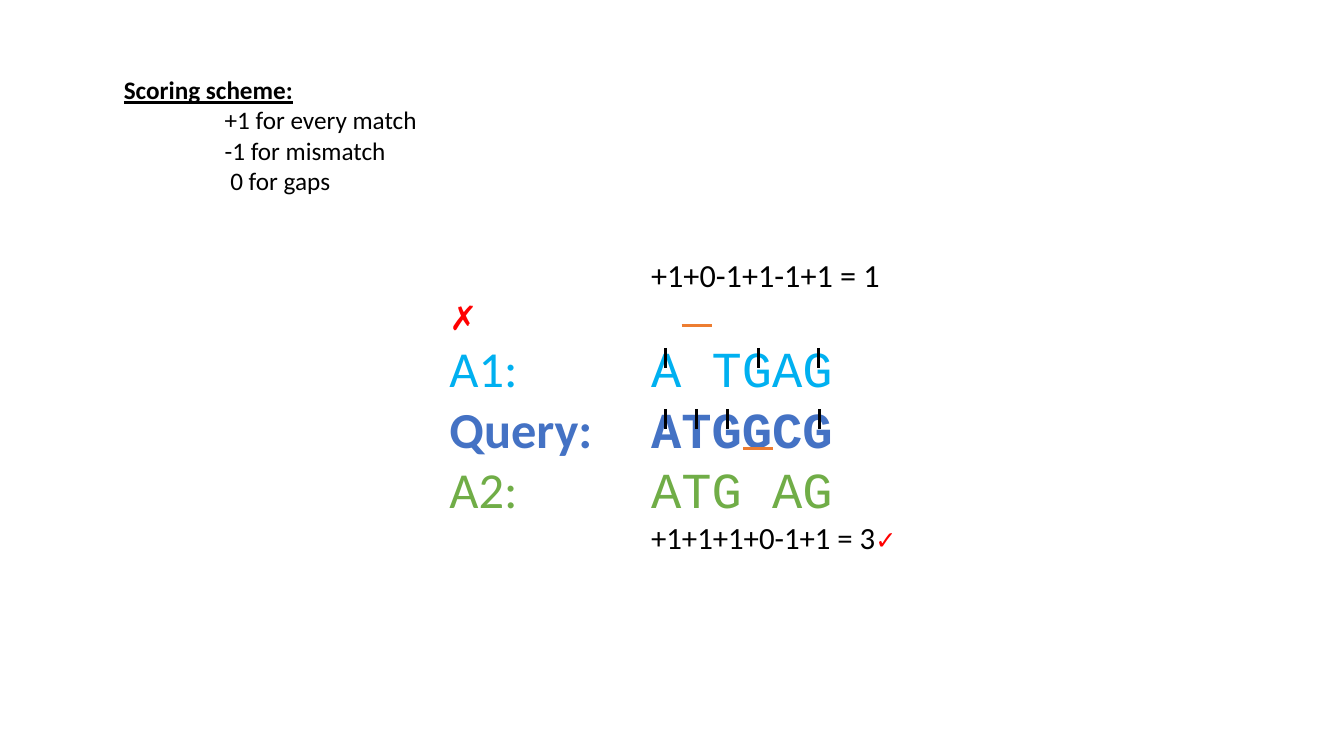
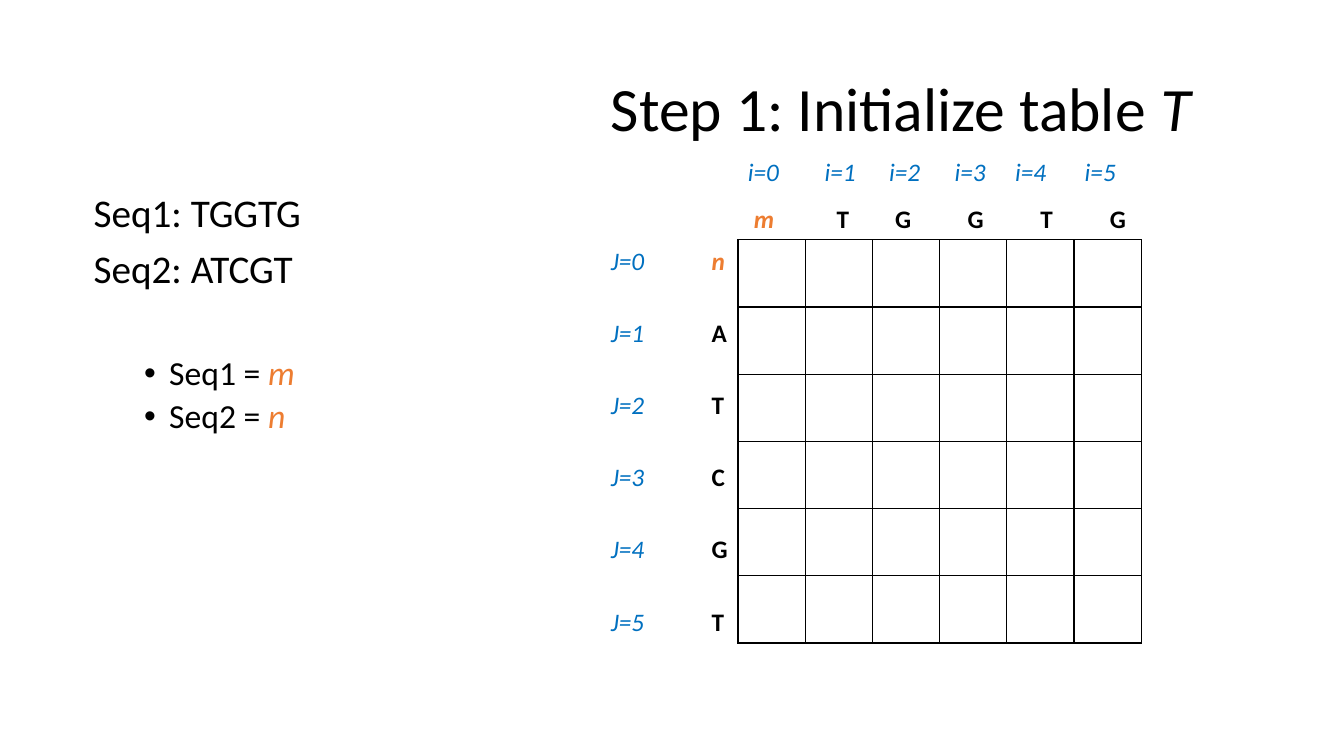
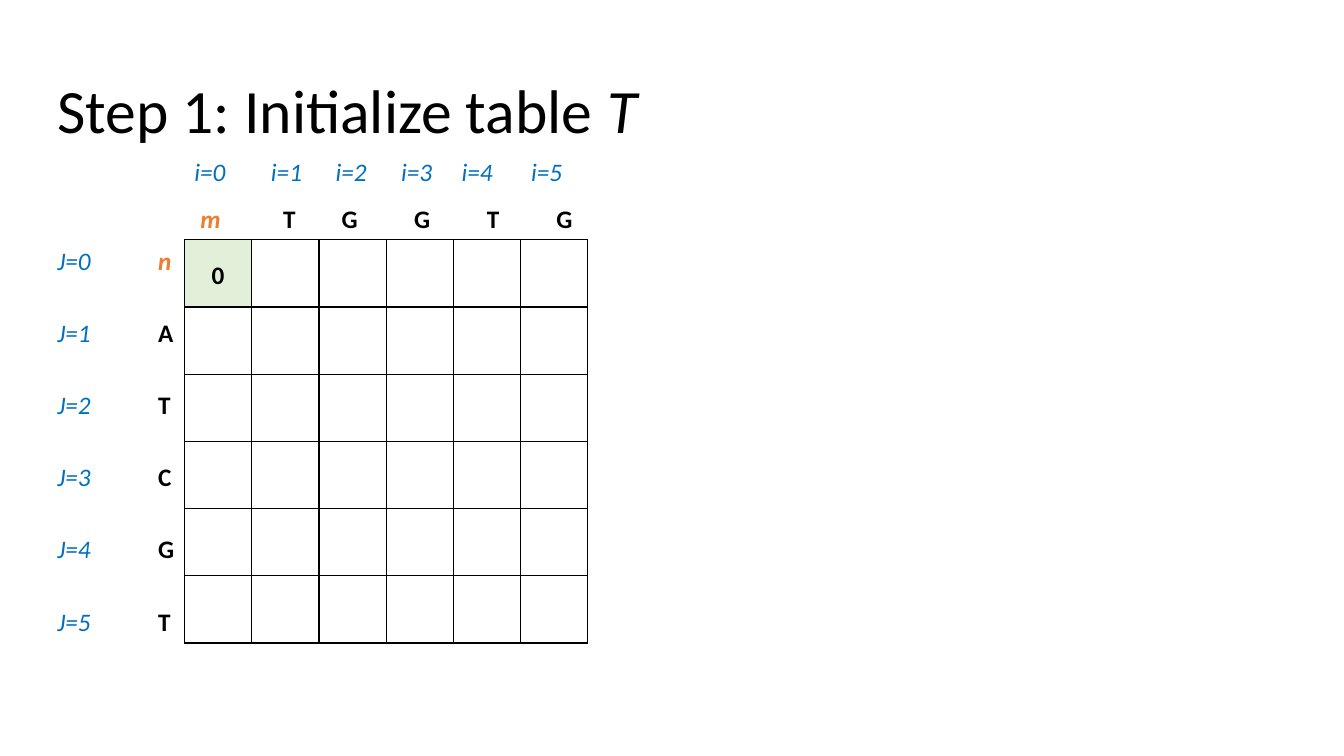
from lxml import etree
from pptx import Presentation
from pptx.dml.color import RGBColor
from pptx.enum.shapes import MSO_CONNECTOR
from pptx.enum.text import MSO_ANCHOR, PP_ALIGN
from pptx.oxml.ns import qn
from pptx.util import Inches, Pt

STRAIGHT = MSO_CONNECTOR.STRAIGHT
MIDDLE = MSO_ANCHOR.MIDDLE
LEFT, CENTER = PP_ALIGN.LEFT, PP_ALIGN.CENTER

FONT, MONO = "Calibri", "Courier New"
BLACK, ORANGE, BLUE, RED = "000000", "ED7D31", "0070C0", "FF0000"
SKY, NAVY, GREEN, PALE_GREEN = "00B0F0", "4472C4", "70AD47", "E2F0D9"
TITLE_ONLY, BLANK = 5, 6


def add_box(slide, left, top, width, height):
    """Add a wrapping text box and return its text frame."""
    box = slide.shapes.add_textbox(Inches(left), Inches(top), Inches(width), Inches(height))
    box.text_frame.word_wrap = True
    box.text_frame.margin_right = 0
    return box.text_frame


def add_line(frame, spans, size=18, before=0, spacing=None, tabs=(), bullet=False):
    """Write one paragraph; each span is its text and a dict of font settings."""
    para = frame.add_paragraph() if frame.paragraphs[0].runs else frame.paragraphs[0]
    if spacing:
        para.line_spacing = spacing
    if before:
        para.space_before = Pt(before)
    properties = para._p.get_or_add_pPr()
    if bullet:
        properties.set("marL", str(Inches(0.75)))
        properties.set("indent", str(Inches(-0.25)))
        etree.SubElement(properties, qn("a:buFont"), typeface="Arial")
        etree.SubElement(properties, qn("a:buChar"), char="•")
    if tabs:
        tab_list = etree.SubElement(properties, qn("a:tabLst"))
        for stop in tabs:
            etree.SubElement(tab_list, qn("a:tab"), pos=str(Inches(stop)), algn="l")
    para.font.name = FONT
    para.font.size = Pt(size)
    for text, style in spans:
        span = para.add_run()
        span.text = text
        span.font.color.rgb = RGBColor.from_string(style.get("color", BLACK))
        for name in ("bold", "italic", "underline", "name", "size"):
            if name in style:
                setattr(span.font, name, style[name])
    return para


deck = Presentation()
deck.slide_width, deck.slide_height = Inches(13.33), Inches(7.5)

# Slide 1: alignment scores
slide = deck.slides.add_slide(deck.slide_layouts[BLANK])
frame = add_box(slide, 4.36, 2.3, 4.8, 3.3)
big = Pt(36)
alignment_lines = [
    [("\t", {"size": big}), ("+1+0-1+1-1+1 = 1", {"size": Pt(23)})],
    [("✗", {"color": RED, "size": Pt(24)})],
]
for label, sequence, color, bold in [
    ("A1:", "A TGAG", SKY, False),
    ("Query:", "ATGGCG", NAVY, True),
    ("A2:", "ATG AG", GREEN, False),
]:
    style = {"color": color, "bold": bold, "size": big}
    alignment_lines.append([(label + "\t", style), (sequence, {**style, "name": MONO})])
alignment_lines.append([
    ("\t+1+1+1+0-1+1 = 3", {"size": Pt(22)}),
    ("✓", {"color": RED, "size": Pt(18)}),
])
for spans in alignment_lines:
    add_line(frame, spans, tabs=[2])

# Gap dashes and match ticks: left, top, width, height, colour
marks = [(left, top, 0.3, 0, ORANGE) for left, top in [(6.76, 3.23), (7.37, 4.45)]]
for top, lefts in [(3.45, (6.6, 7.52, 8.12)), (4.06, (6.6, 6.91, 7.22, 8.13))]:
    marks += [(left, top, 0, 0.2, BLACK) for left in lefts]
for left, top, width, height, color in marks:
    mark = slide.shapes.add_connector(
        STRAIGHT, Inches(left), Inches(top), Inches(left + width), Inches(top + height))
    mark.line.color.rgb = RGBColor.from_string(color)
    mark.line.width = Pt(2.25)
    etree.SubElement(mark._element.spPr, qn("a:effectLst"))

# Scoring scheme
frame = add_box(slide, 1.13, 0.69, 3.2, 1.62)
add_line(frame, [("Scoring scheme:", {"bold": True, "underline": True})])
for rule in ("+1 for every match", "-1 for mismatch", " 0 for gaps"):
    add_line(frame, [("\t" + rule, {})], tabs=[1])

# Slides 2 and 3: the table with its title and labels
COLUMN_LETTERS, ROW_LETTERS = "mTGGTG", "nATCGT"
INDEX_TABS = [0.76, 1.4, 2.05, 2.65, 3.34]
LETTER_TABS = [0.06, 0.88, 1.46, 2.18, 2.9, 3.59]
GRID_SIZE, GRID_WIDTH = 6, 4
index_style = {"color": BLUE, "italic": True}
letter_style = {"bold": True}
symbol_style = {"color": ORANGE, "bold": True, "italic": True}

for title_left, title_top, grid_left, start in [(5.96, 0.38, 7.32, ""), (0.47, 0.4, 1.83, "0")]:
    slide = deck.slides.add_slide(deck.slide_layouts[TITLE_ONLY])
    title = slide.shapes.title
    title.left, title.top = Inches(title_left), Inches(title_top)
    title.width, title.height = Inches(6.23), Inches(1.45)
    title.text_frame.vertical_anchor = MIDDLE
    para = add_line(title.text_frame, [("Step 1: Initialize table ", {}), ("T", {"italic": True})],
                    size=44, spacing=0.9)
    para.alignment = LEFT

    # Empty grid with black borders
    table = slide.shapes.add_table(
        GRID_SIZE, GRID_SIZE, Inches(grid_left), Inches(2.38),
        Inches(GRID_WIDTH), Inches(GRID_WIDTH)).table
    table.first_row = table.horz_banding = False
    for cell in table.iter_cells():
        properties = cell._tc.get_or_add_tcPr()
        for side in ("a:lnL", "a:lnR", "a:lnT", "a:lnB"):
            border = etree.SubElement(properties, qn(side), w=str(Pt(1)))
            fill = etree.SubElement(border, qn("a:solidFill"))
            etree.SubElement(fill, qn("a:srgbClr"), val=BLACK)
        cell.fill.background()
    if start:
        cell = table.cell(0, 0)
        cell.fill.solid()
        cell.fill.fore_color.rgb = RGBColor.from_string(PALE_GREEN)
        para = add_line(cell.text_frame, [(start, letter_style)], spacing=1.5)
        para.alignment = CENTER

    # Column labels
    frame = add_box(slide, grid_left, 1.5, 4.03, 0.88)
    indexes = "\t".join(f"i={column}" for column in range(GRID_SIZE))
    add_line(frame, [(indexes, index_style)], tabs=INDEX_TABS)
    letters = "\t" + "\t".join(COLUMN_LETTERS[1:])
    add_line(frame, [("\t" + COLUMN_LETTERS[0], symbol_style), (letters, letter_style)],
             before=12, tabs=LETTER_TABS)

    # Row labels
    frame = add_box(slide, title_left, 2.38, 1.37, 4.02)
    for row, letter in enumerate(ROW_LETTERS):
        add_line(frame, [(f"J={row}\t", index_style), (letter, letter_style if row else symbol_style)],
                 before=30 if row else 0, tabs=[1])

# Sequences beside the table on slide 2
frame = add_box(deck.slides[1], 0.83, 1.87, 3.62, 3.76)
add_line(frame, [("Seq1: TGGTG", {})], size=28, spacing=0.9)
add_line(frame, [("Seq2: ATCGT", {})], size=28, spacing=0.9, before=10)
for name, symbol, before in [("Seq1", "m", 46), ("Seq2", "n", 5)]:
    add_line(frame, [(f"{name} = ", {}), (symbol, {"color": ORANGE, "italic": True})],
             size=24, spacing=0.9, before=before, bullet=True)

deck.save("out.pptx")
